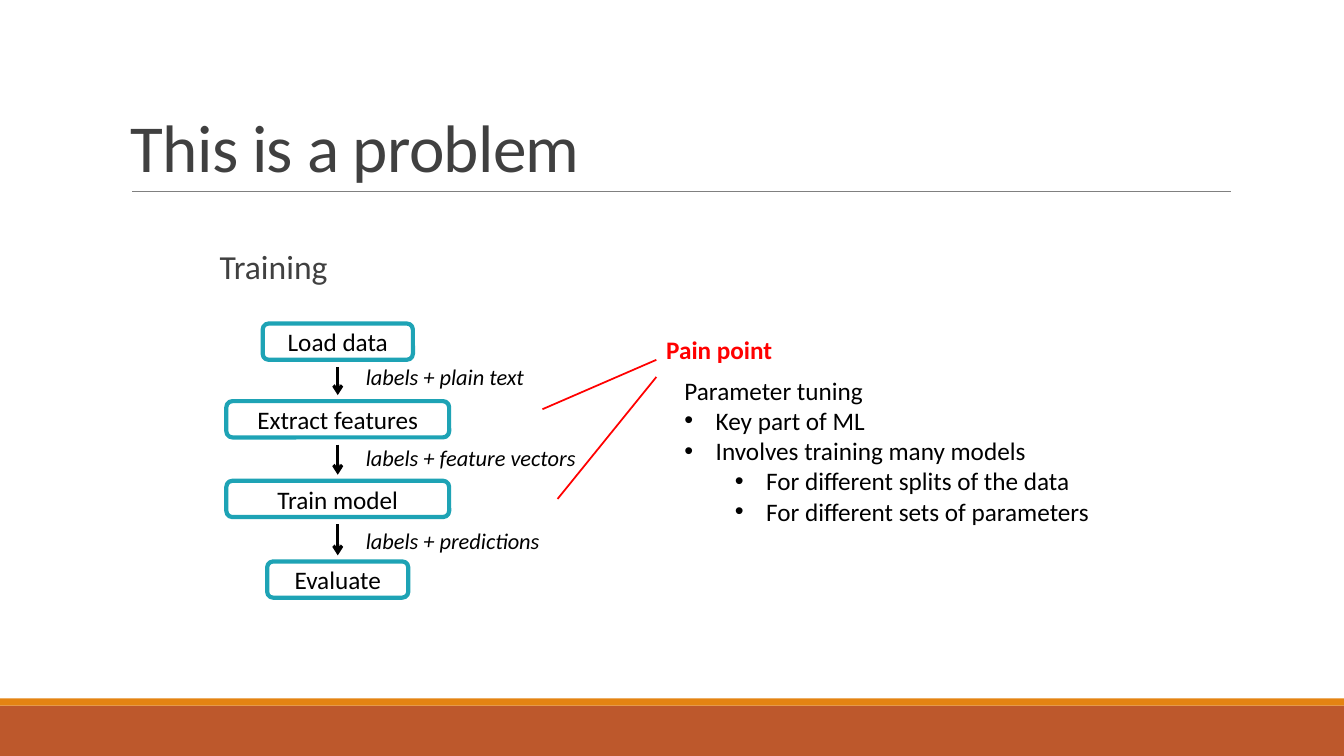
"""Build a slide on the pain points of a machine learning training pipeline."""
from lxml import etree
from pptx import Presentation
from pptx.dml.color import RGBColor
from pptx.enum import shapes, text
from pptx.oxml import ns
from pptx.util import Inches, Pt

BLACK = RGBColor(0, 0, 0)
RED = RGBColor(0xFF, 0, 0)
GREY = RGBColor(0x80, 0x80, 0x80)
DARK_GREY = RGBColor(0x40, 0x40, 0x40)
TEAL = RGBColor(0x1E, 0xA3, 0xB5)
RUST = RGBColor(0xBD, 0x58, 0x2C)
ORANGE = RGBColor(0xE4, 0x83, 0x12)

deck = Presentation()
deck.slide_width, deck.slide_height = Inches(13.33), Inches(7.5)
slide = deck.slides.add_slide(deck.slide_layouts[6])


def add_line(x1, y1, x2, y2, color, width):
    line = slide.shapes.add_connector(
        shapes.MSO_CONNECTOR.STRAIGHT, Inches(x1), Inches(y1), Inches(x2), Inches(y2))
    line.line.color.rgb = color
    line.line.width = Pt(width)
    etree.SubElement(line._element.spPr, ns.qn("a:effectLst"))
    return line


def add_text(left, top, width, height, lines, size, color, wrap=False):
    box = slide.shapes.add_textbox(Inches(left), Inches(top), Inches(width), Inches(height))
    frame = box.text_frame
    frame.word_wrap = wrap
    frame.text = "\n".join(lines)
    for paragraph in frame.paragraphs:
        font = paragraph.runs[0].font
        font.name, font.size, font.color.rgb = "Calibri", Pt(size), color
    return frame


for top, height, color in [(7, 0.5, RUST), (6.93, 0.07, ORANGE)]:
    band = slide.shapes.add_shape(
        shapes.MSO_SHAPE.RECTANGLE, 0, Inches(top), deck.slide_width, Inches(height))
    band.shadow.inherit = False
    band.fill.solid()
    band.fill.fore_color.rgb = color
    band.line.fill.background()

add_line(1.31, 1.9, 12.21, 1.9, GREY, 0.5)
title = add_text(1.2, 0.31, 11, 1.59, ["This is a problem"], 48, DARK_GREY, wrap=True)
title.vertical_anchor = text.MSO_ANCHOR.BOTTOM
title.paragraphs[0].line_spacing = 0.85
title.paragraphs[0].runs[0]._r.get_or_add_rPr().set("spc", "-50")

heading = add_text(2.08, 2.44, 1.46, 0.67, ["Training"], 24, DARK_GREY, wrap=True)
heading.margin_right = 0
heading.paragraphs[0].line_spacing = 0.9

FLOW_CENTER = 3.35
steps = [("Load data", 3.21, 1.49), ("Extract features", 3.98, 2.21),
         ("Train model", 4.77, 2.21), ("Evaluate", 5.57, 1.4)]
for name, top, width in steps:
    step = slide.shapes.add_shape(
        shapes.MSO_SHAPE.ROUNDED_RECTANGLE,
        Inches(FLOW_CENTER - width / 2), Inches(top), Inches(width), Inches(0.36))
    step.shadow.inherit = False
    step.fill.background()
    step.line.color.rgb = TEAL
    step.line.width = Pt(3)
    step.text_frame.text = name
    step.text_frame.vertical_anchor = text.MSO_ANCHOR.MIDDLE
    step.text_frame.paragraphs[0].alignment = text.PP_ALIGN.CENTER
    font = step.text_frame.paragraphs[0].runs[0].font
    font.name, font.size, font.color.rgb = "Calibri", Pt(18), BLACK

outputs = [("labels + plain text", 3.55, 1.85), ("labels + feature vectors", 4.36, 2.37),
           ("labels + predictions", 5.18, 2)]
for (name, top, width), step, next_step in zip(outputs, steps, steps[1:]):
    arrow = add_line(FLOW_CENTER, step[1] + 0.43, FLOW_CENTER, next_step[1] - 0.06, BLACK, 2.25)
    etree.SubElement(arrow.line._get_or_add_ln(), ns.qn("a:tailEnd"), type="arrow")
    output = add_text(3.53, top, width, 0.37, [name], 16, BLACK)
    output.paragraphs[0].runs[0].font.italic = True

add_line(5.38, 4.06, 6.51, 3.57, RED, 1.25)
add_line(5.53, 4.95, 6.51, 3.74, RED, 1.25)
pain_point = add_text(6.51, 3.27, 1.27, 0.4, ["Pain point"], 18, RED)
pain_point.paragraphs[0].runs[0].font.bold = True

tuning = add_text(6.69, 3.67, 4.28, 1.62, [
    "Parameter tuning", "Key part of ML", "Involves training many models",
    "For different splits of the data", "For different sets of parameters"], 18, BLACK)
for paragraph, level in zip(tuning.paragraphs[1:], [0, 0, 1, 1]):
    paragraph.level = level
    properties = paragraph._p.get_or_add_pPr()
    properties.set("marL", str(Inches(0.31 + 0.5 * level)))
    properties.set("indent", str(Inches(-0.31)))
    etree.SubElement(properties, ns.qn("a:buFont"), typeface="Arial")
    etree.SubElement(properties, ns.qn("a:buChar"), char="•")

deck.save("out.pptx")
